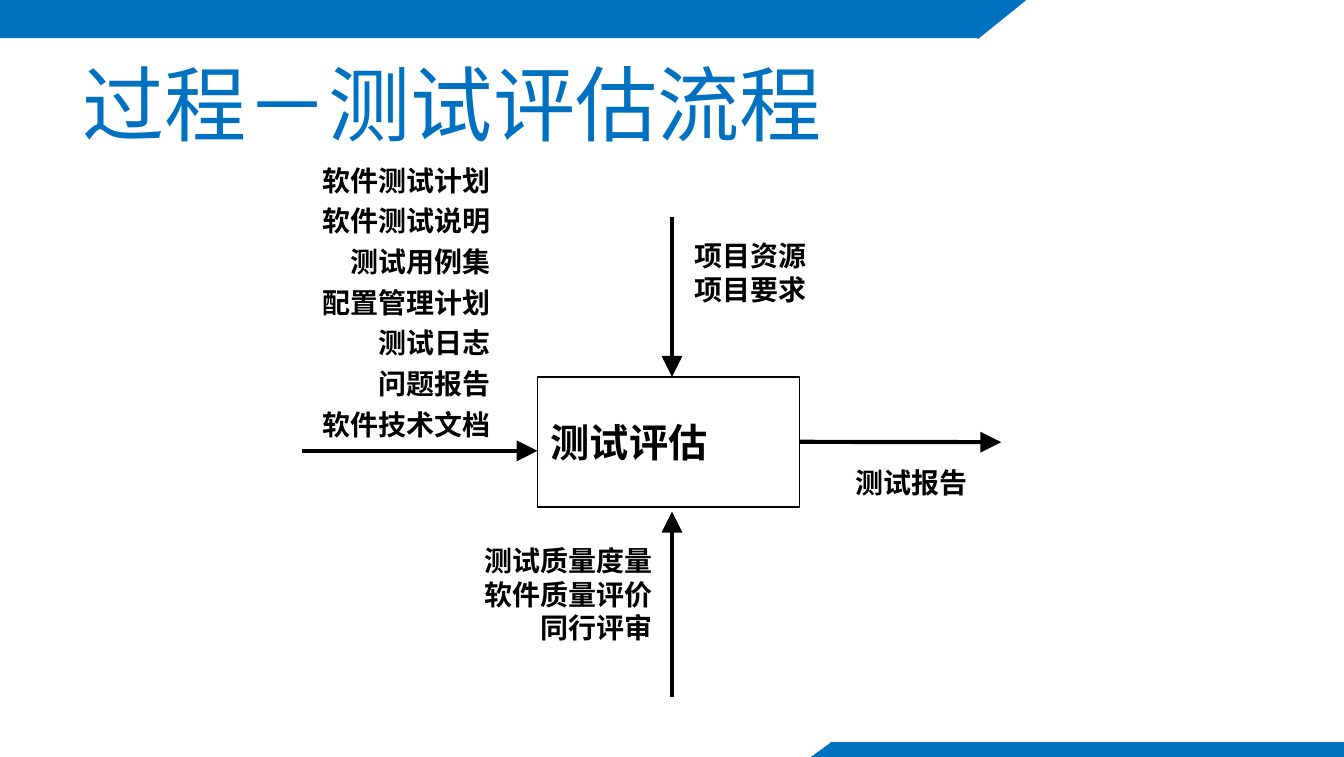
"""Build the test evaluation process slide with its inputs, controls and outputs."""
from lxml import etree
from pptx import Presentation
from pptx.dml.color import RGBColor
from pptx.enum.shapes import MSO_CONNECTOR, MSO_SHAPE
from pptx.enum.text import MSO_ANCHOR, MSO_AUTO_SIZE, PP_ALIGN
from pptx.oxml.ns import qn
from pptx.util import Pt

COLORS = {"blue": "0070C0", "white": "FFFFFF", "black": "000000"}


def color(name):
    return RGBColor.from_string(COLORS[name])


def write(frame, lines, font_format, align=PP_ALIGN.LEFT, gap=0):
    frame.text = "\n".join(lines)
    for index, paragraph in enumerate(frame.paragraphs):
        paragraph.alignment = align
        paragraph.space_before = Pt(gap if index else 0)
        paragraph.space_after = Pt(gap)
        for key, value in font_format.items():
            setattr(paragraph.font, key, value)
        paragraph.font.color.rgb = color("black")


prs = Presentation()
prs.slide_width, prs.slide_height = Pt(720), Pt(405.36)
slide = prs.slides.add_slide(prs.slide_layouts[5])
shapes = slide.shapes

bands = [
    (MSO_SHAPE.RECTANGLE, 0, 0, 720, 20.4, 0, "blue"),
    (MSO_SHAPE.RECTANGLE, 524.2, 0, 195.8, 27.4, 0, "white"),
    (MSO_SHAPE.RECTANGLE, 444.8, 397.4, 275.2, 7.96, 0, "blue"),
    (MSO_SHAPE.RIGHT_TRIANGLE, 526.3, -2.4, 20.9, 25.9, 90, "blue"),
    (MSO_SHAPE.RIGHT_TRIANGLE, 435.2, 396, 8.6, 11.4, 271, "blue"),
]
for kind, left, top, width, height, rotation, fill in bands:
    band = shapes.add_shape(kind, Pt(left), Pt(top), Pt(width), Pt(height))
    band.rotation = rotation
    band.shadow.inherit = False
    band.fill.solid()
    band.fill.fore_color.rgb = color(fill)
    band.line.fill.background()

title = shapes.title
title.left, title.top, title.width, title.height = Pt(37), Pt(20.9), Pt(648), Pt(67.7)
title.text_frame.auto_size = MSO_AUTO_SIZE.NONE
title.text_frame.vertical_anchor = MSO_ANCHOR.MIDDLE
write(title.text_frame, ["过程－测试评估流程"], {"size": Pt(44), "name": "Montserrat"})
title.text_frame.paragraphs[0].font.color.rgb = color("blue")

evaluation = shapes.add_shape(MSO_SHAPE.FLOWCHART_PROCESS, Pt(288), Pt(201.8), Pt(140.2), Pt(69.6))
evaluation.shadow.inherit = False
evaluation.fill.background()
evaluation.line.color.rgb = color("black")
evaluation.line.width = Pt(0.75)
evaluation.text_frame.word_wrap = False
evaluation.text_frame.vertical_anchor = MSO_ANCHOR.MIDDLE
write(evaluation.text_frame, ["测试评估"], {"size": Pt(21), "name": "Times New Roman", "bold": True})

flows = [
    (162, 241.4, 288, 241.4, None),
    (360, 373, 360, 274, None),
    (360, 116.2, 360, 201.8, None),
    (428.2, 236.6, 536.4, 236.8, 3),
]
for x1, y1, x2, y2, start_side in flows:
    flow = shapes.add_connector(MSO_CONNECTOR.STRAIGHT, Pt(x1), Pt(y1), Pt(x2), Pt(y2))
    if start_side is not None:
        flow.begin_connect(evaluation, start_side)
    flow.line.color.rgb = color("black")
    flow.line.width = Pt(2.25)
    etree.SubElement(flow.line._get_or_add_ln(), qn("a:tailEnd"), type="triangle", w="lg", len="lg")
    etree.SubElement(flow._element.spPr, qn("a:effectLst"))

inputs = ["软件测试计划", "软件测试说明", "测试用例集", "配置管理计划", "测试日志", "问题报告", "软件技术文档"]
labels = [
    (165.4, 83.8, 104.4, 155.5, inputs, PP_ALIGN.RIGHT, 1.9),
    (365, 124.4, 74.2, 43.2, ["项目资源", "项目要求"], PP_ALIGN.LEFT, 0),
    (252, 287.6, 104.4, 61.2, ["测试质量度量", "软件质量评价", "同行评审"], PP_ALIGN.RIGHT, 0),
    (451.4, 245.7, 74.2, 25.2, ["测试报告"], PP_ALIGN.LEFT, 0),
]
for left, top, width, height, lines, align, gap in labels:
    label = shapes.add_textbox(Pt(left), Pt(top), Pt(width), Pt(height))
    label.text_frame.word_wrap = False
    label.text_frame.auto_size = MSO_AUTO_SIZE.SHAPE_TO_FIT_TEXT
    write(label.text_frame, lines, {"size": Pt(15), "name": "Times New Roman", "bold": True}, align, gap)

prs.save("out.pptx")
